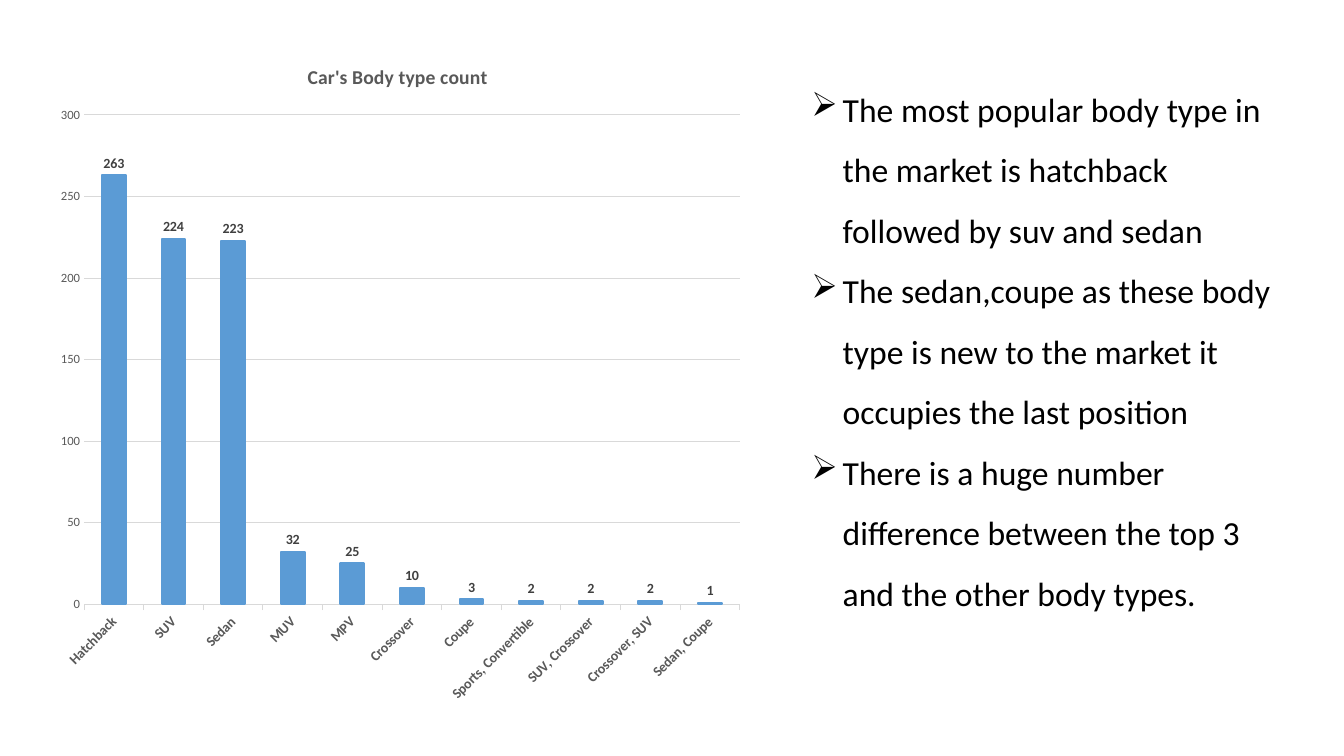
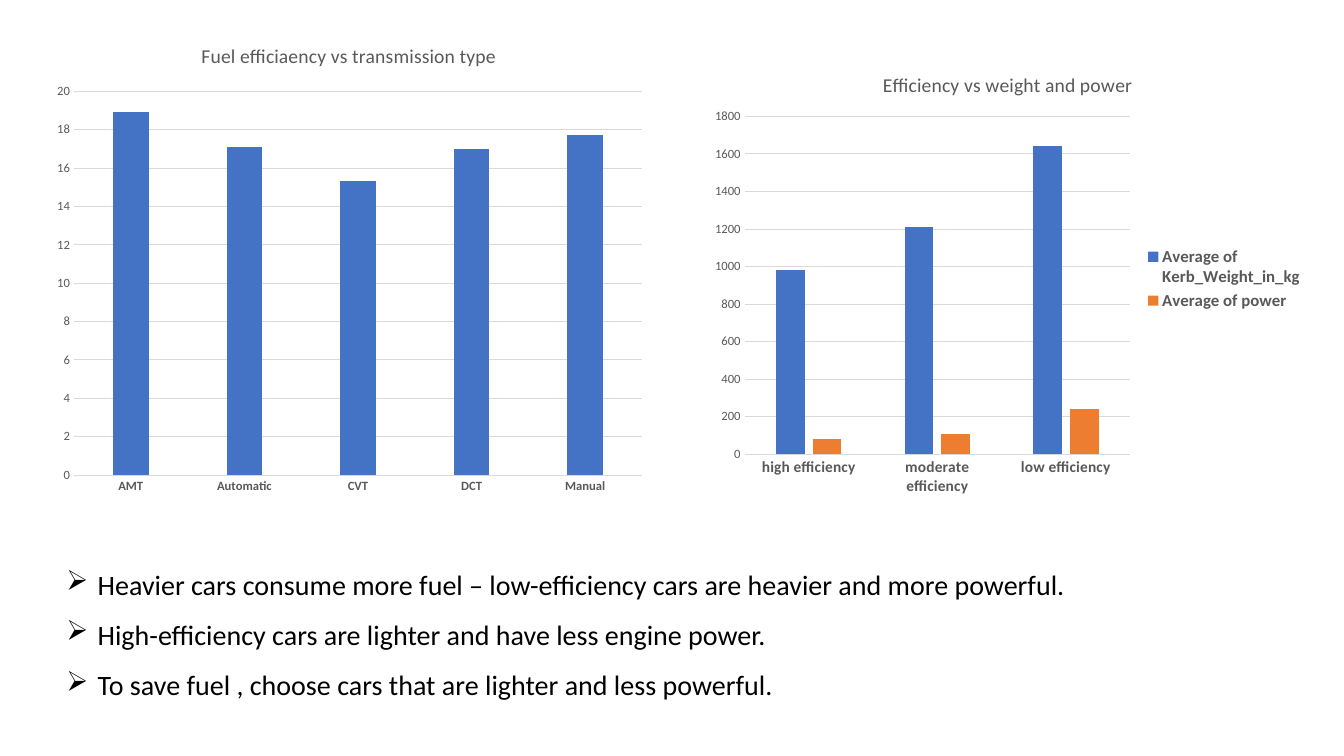
from lxml import etree
from pptx import Presentation
from pptx import util as u
from pptx.chart.data import CategoryChartData
from pptx.dml.color import RGBColor
from pptx.enum import chart as ch, text
from pptx.oxml import parse_xml
from pptx.oxml.ns import nsdecls, qn

FONT = "Calibri"
BLACK, GREY, DARK, RULE = "000000", "595959", "404040", "D9D9D9"
SKY, BLUE, ORANGE = "5B9BD5", "4472C4", "ED7D31"


def rgb(value):
    return RGBColor.from_string(value)


def style(font, size, color, bold=False):
    font.name, font.size, font.bold = FONT, u.Pt(size), bold
    font.color.rgb = rgb(color)


def rule(line):
    line.color.rgb = rgb(RULE)
    line.width = u.Pt(0.75)


def place(box):
    return [u.Inches(v) for v in box]


def set_plot_box(chart, box):
    area = chart._chartSpace.chart.plotArea
    for old in area.findall(qn("c:layout")):
        area.remove(old)
    parts = zip("xywh", box)
    vals = "".join(f'<c:{k} val="{v}"/>' for k, v in parts)
    area.insert(0, parse_xml(
        f'<c:layout {nsdecls("c")}><c:manualLayout><c:layoutTarget val="inner"/>'
        f'<c:xMode val="edge"/><c:yMode val="edge"/>{vals}</c:manualLayout></c:layout>'))


def add_columns(slide, box, title, cats, series, plot_box, top, step, colors,
                cat_size=9, title_bold=False, gap=219, overlap=-27):
    data = CategoryChartData()
    data.categories = cats
    for name, vals in series:
        data.add_series(name, vals)
    chart = slide.shapes.add_chart(
        ch.XL_CHART_TYPE.COLUMN_CLUSTERED, *place(box), data).chart
    style(chart.font, 10, BLACK)
    chart.has_legend = False
    chart.has_title = True
    tf = chart.chart_title.text_frame
    tf.text = title
    style(tf.paragraphs[0].runs[0].font, 14, GREY, title_bold)

    ca, va = chart.category_axis, chart.value_axis
    style(ca.tick_labels.font, cat_size, GREY, True)
    style(va.tick_labels.font, 9, GREY)
    rule(ca.format.line)
    va.format.line.fill.background()
    va.has_major_gridlines = True
    rule(va.major_gridlines.format.line)
    va.minimum_scale, va.maximum_scale, va.major_unit = 0, top, step
    for axis in (ca, va):
        axis.major_tick_mark = ch.XL_TICK_MARK.NONE

    plot = chart.plots[0]
    plot.gap_width, plot.overlap = gap, overlap
    plot.vary_by_categories = False
    for ser, color in zip(plot.series, colors):
        ser.format.fill.solid()
        ser.format.fill.fore_color.rgb = rgb(color)
    set_plot_box(chart, plot_box)
    return chart


def add_bullets(slide, box, lines, size):
    sp = slide.shapes.add_textbox(*place(box))
    tf = sp.text_frame
    tf.word_wrap = True
    tf.auto_size = text.MSO_AUTO_SIZE.SHAPE_TO_FIT_TEXT
    tf.text = "\n".join(lines)
    for p in tf.paragraphs:
        p.line_spacing = 1.5
        style(p.runs[0].font, size, BLACK)
        pPr = p._p.get_or_add_pPr()
        indent = u.Inches(0.31)
        pPr.set("marL", str(indent))
        pPr.set("indent", str(-indent))
        etree.SubElement(pPr, qn("a:buChar")).set("char", "➢")


def body_type_slide(slide):
    cats = ["Hatchback", "SUV", "Sedan", "MUV", "MPV", "Crossover", "Coupe",
            "Sports, Convertible", "SUV, Crossover", "Crossover, SUV", "Sedan, Coupe"]
    counts = [263, 224, 223, 32, 25, 10, 3, 2, 2, 2, 1]
    chart = add_columns(
        slide, (0.41, 0.41, 7.07, 6.65), "Car's Body type count", cats,
        [("Series 1", counts)], (0.06, 0.11, 0.92, 0.73), 300, 50, [SKY],
        cat_size=10, title_bold=True, gap=150, overlap=0)
    ca = chart.category_axis
    ca.major_tick_mark = ch.XL_TICK_MARK.OUTSIDE
    ca._element.find(qn("c:txPr")).find(qn("a:bodyPr")).set("rot", "-2700000")
    ser = chart.plots[0].series[0]
    ser.format.line.color.rgb = rgb(SKY)
    ser.format.line.width = u.Pt(1.5)
    labels = ser.data_labels
    labels.show_value = True
    labels.position = ch.XL_LABEL_POSITION.OUTSIDE_END
    style(labels.font, 10, DARK, True)
    add_bullets(slide, (7.95, 0.63, 4.97, 5.49), [
        "The most popular body type in the market is hatchback followed by suv and sedan",
        "The sedan,coupe as these body type is new to the market it occupies the last position",
        "There is a huge number difference between the top 3 and the other body types.",
    ], 24)


def efficiency_slide(slide):
    add_columns(
        slide, (0.43, 0.24, 6.06, 4.76), "Fuel efficiaency vs transmission type",
        ["AMT", "Automatic", "CVT", "DCT", "Manual"],
        [("Series 1", [18.9, 17.1, 15.3, 17, 17.7])],
        (0.05, 0.14, 0.93, 0.8), 20, 2, [BLUE])
    chart = add_columns(
        slide, (6.96, 0.53, 6.07, 4.47), "Efficiency vs weight and power",
        ["high efficiency", "moderate efficiency", "low efficiency"],
        [("Average of Kerb_Weight_in_kg", [980, 1210, 1640]),
         ("Average of power", [80, 110, 240])],
        (0.07, 0.14, 0.63, 0.75), 1800, 200, [BLUE, ORANGE], cat_size=11)
    chart.has_legend = True
    chart.legend.position = ch.XL_LEGEND_POSITION.RIGHT
    chart.legend.include_in_layout = False
    style(chart.legend.font, 12, GREY, True)
    add_bullets(slide, (0.56, 5.41, 12.48, 1.56), [
        "Heavier cars consume more fuel – low-efficiency cars are heavier and more powerful.",
        "High-efficiency cars are lighter and have less engine power.",
        "To save fuel , choose cars that are lighter and less powerful.",
    ], 20)


def main():
    prs = Presentation()
    prs.slide_width, prs.slide_height = u.Inches(13.33), u.Inches(7.5)
    for build in (body_type_slide, efficiency_slide):
        build(prs.slides.add_slide(prs.slide_layouts[6]))
    prs.save("out.pptx")


if __name__ == "__main__":
    main()
